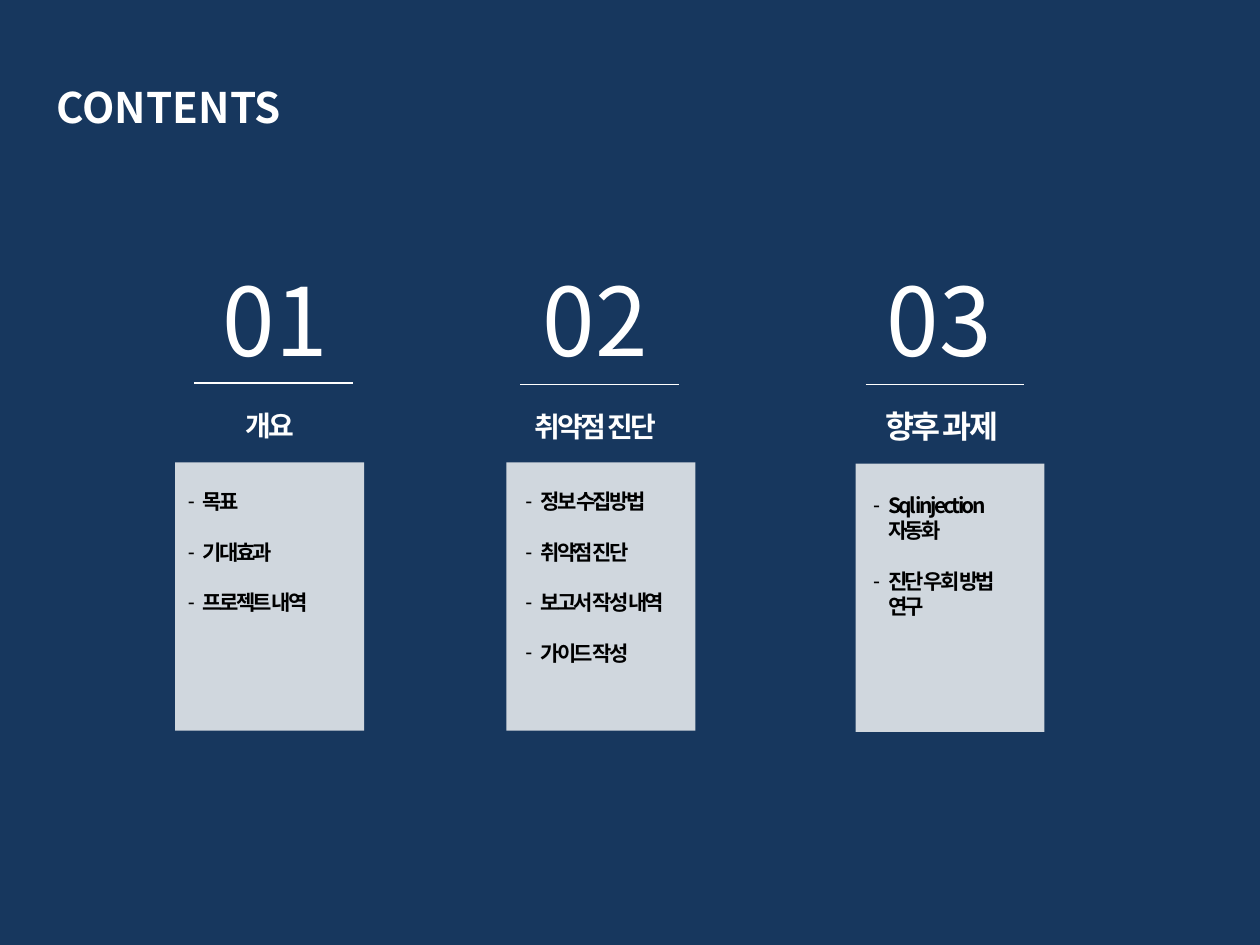
from collections import namedtuple

from pptx import Presentation, util as u
from pptx.dml.color import RGBColor
from pptx.enum import shapes, text
from pptx.oxml.ns import qn
from lxml import etree

NOTO = "Noto Sans CJK KR"
WHITE, BLACK, NAVY = "FFFFFF", "000000", "17375E"
TOP_LEFT = text.PP_ALIGN.LEFT

# Boxes are (left, top, width, height) in inches
Section = namedtuple("Section", "number number_x rule_x rule_y "
                     "heading heading_box heading_size card_x card_y "
                     "list_box items")
SECTIONS = [
    Section("01", 1.67, 1.54, 3.04, "개요", (1.39, 3.19, 1.5, 0.37), 16,
            1.39, 3.67, (1.39, 3.83, 1.5, 1.11),
            ["목표", "기대효과", "프로젝트 내역"]),
    Section("02", 4.21, 4.13, 3.05, "취약점 진단", (3.82, 3.2, 1.81, 0.37), 16,
            4.02, 3.67, (4.07, 3.83, 1.57, 1.92),
            ["정보 수집방법", "취약점 진단", "보고서 작성 내역", "가이드 작성"]),
    Section("03", 6.94, 6.87, 3.05, "향후 과제", (6.57, 3.18, 1.81, 0.4), 18,
            6.79, 3.68, (6.83, 3.86, 1.5, 0.91),
            ["Sql injection\v자동화", "진단 우회 방법\v연구"]),
]


def rgb(color):
    return RGBColor.from_string(color)


def inches(box):
    return [u.Inches(v) for v in box]


def place(sp, box):
    sp.left, sp.top, sp.width, sp.height = inches(box)


def add_bullet(p, indent=0.12):
    pPr = p._p.get_or_add_pPr()
    pPr.set("marL", str(u.Inches(indent)))
    pPr.set("indent", str(-u.Inches(indent)))
    etree.SubElement(pPr, qn("a:buChar")).set("char", "-")


def write(sp, lines, size, color=WHITE, font=NOTO, bold=True, spacing=0,
          align=TOP_LEFT, bullets=False):
    tf = sp.text_frame
    tf.word_wrap = True
    tf.auto_size = text.MSO_AUTO_SIZE.NONE
    tf.vertical_anchor = text.MSO_ANCHOR.TOP
    tf.text = "\n".join(lines)
    for i, p in enumerate(tf.paragraphs):
        if bullets:
            add_bullet(p)
        p.alignment = align
        p.line_spacing = u.Pt(size * 1.2)
        p.space_before = u.Pt(size * 1.2 if i else 0)
        for r in p.runs:
            f = r.font
            f.name, f.size, f.bold = font, u.Pt(size), bold
            f.color.rgb = rgb(color)
            rPr = r._r.get_or_add_rPr()
            rPr.set("spc", str(int(spacing * 100)))
            # East Asian typeface for the Hangul
            ea = etree.Element(qn("a:ea"), typeface=NOTO)
            rPr.find(qn("a:latin")).addnext(ea)


def add_label(s, box, label, size, **style):
    write(s.shapes.add_textbox(*inches(box)), [label], size, **style)


def add_card(s, x, y):
    sp = s.shapes.add_shape(shapes.MSO_SHAPE.RECTANGLE,
                            *inches((x, y, 1.5, 2.13)))
    sp.shadow.inherit = False
    sp.fill.solid()
    sp.fill.fore_color.rgb = rgb(WHITE)
    sp.line.fill.background()
    clr = sp.element.spPr.find(qn("a:solidFill"))[0]
    etree.SubElement(clr, qn("a:alpha")).set("val", "80000")


def add_rule(s, x, y):
    ln = s.shapes.add_connector(shapes.MSO_CONNECTOR.STRAIGHT,
                                *inches((x, y, x + 1.26, y)))
    ln.line.color.rgb = rgb(WHITE)
    ln.line.width = u.Pt(0.75)
    etree.SubElement(ln.element.spPr, qn("a:effectLst"))


def fill_list(sp, section):
    # Bring the list in front of its card
    sp.element.getparent().append(sp.element)
    place(sp, section.list_box)
    write(sp, section.items, 12, color=BLACK, spacing=-1.5, bullets=True)


def main():
    prs = Presentation()
    prs.slide_width, prs.slide_height = u.Inches(10), u.Inches(7.5)
    # The comparison layout has a title and four text placeholders
    s = prs.slides.add_slide(prs.slide_layouts[4])
    s.background.fill.solid()
    s.background.fill.fore_color.rgb = rgb(NAVY)

    # Title
    title, *bodies = list(s.placeholders)
    place(title, (0.35, 0.6, 4.57, 0.5))
    write(title, ["CONTENTS"], 24)

    # Sections
    for section, body in zip(SECTIONS, bodies):
        add_card(s, section.card_x, section.card_y)
        add_rule(s, section.rule_x, section.rule_y)
        add_label(s, (section.number_x, 2.03, 1.18, 1.01), section.number, 54,
                  bold=False)
        add_label(s, section.heading_box, section.heading,
                  section.heading_size, font="Arial", spacing=-1.5,
                  align=text.PP_ALIGN.CENTER)
        fill_list(body, section)

    # Unused placeholder
    for body in bodies[len(SECTIONS):]:
        body.element.getparent().remove(body.element)

    prs.save("out.pptx")


if __name__ == "__main__":
    main()
